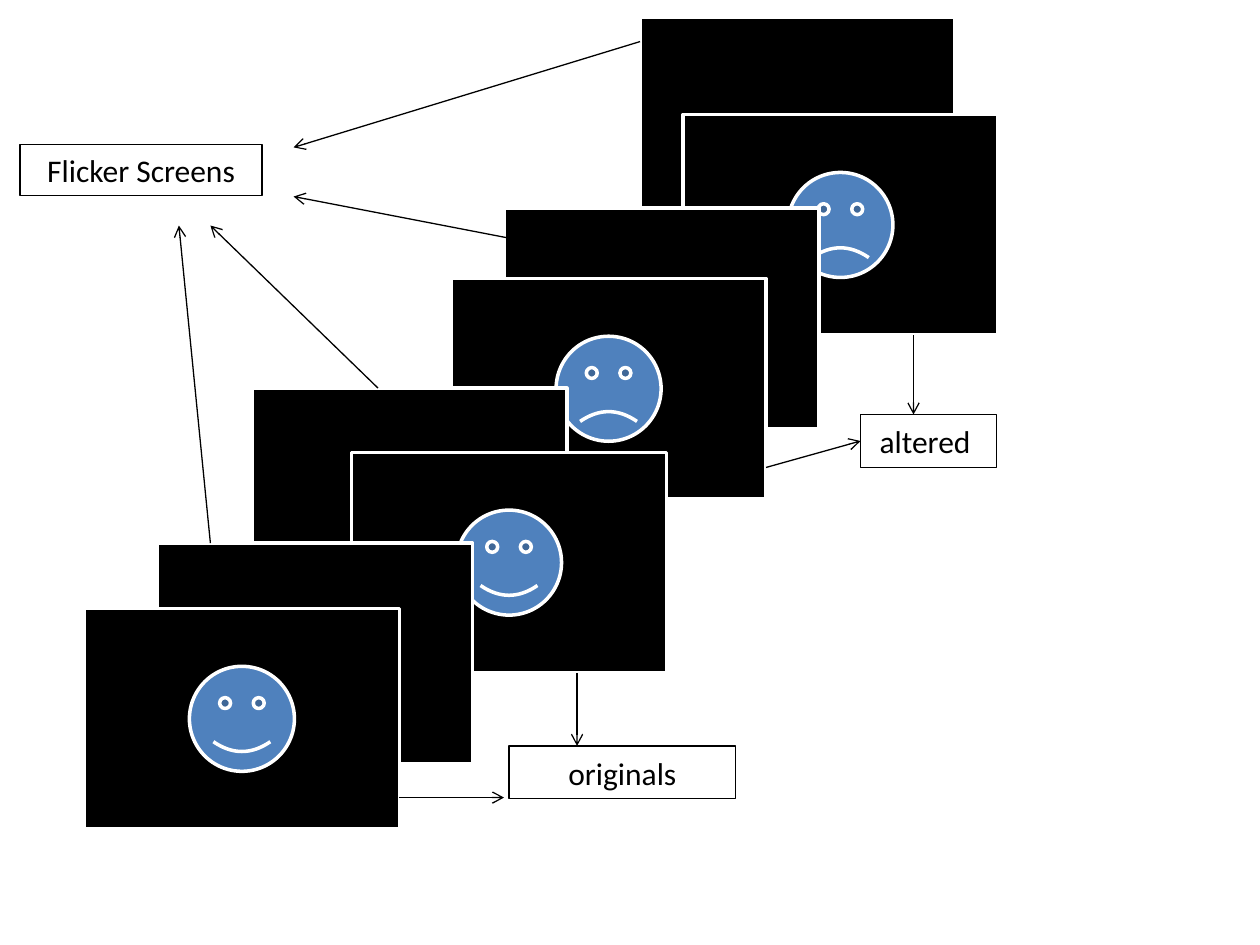
from typing import NamedTuple

from lxml import etree
from pptx import Presentation
from pptx.dml.color import RGBColor
from pptx.enum.shapes import MSO_CONNECTOR, MSO_SHAPE
from pptx.enum.text import MSO_ANCHOR, MSO_AUTO_SIZE, PP_ALIGN
from pptx.oxml.ns import qn
from pptx.util import Inches, Pt

RECTANGLE = MSO_SHAPE.RECTANGLE
SMILEY = MSO_SHAPE.SMILEY_FACE
STRAIGHT = MSO_CONNECTOR.STRAIGHT
CENTER = PP_ALIGN.CENTER
MIDDLE = MSO_ANCHOR.MIDDLE
FIT_SHAPE = MSO_AUTO_SIZE.SHAPE_TO_FIT_TEXT

COLORS = {"screen": "000000", "edge": "FFFFFF", "face": "4F81BD", "ink": "000000"}
FONT = "Calibri"
SCREEN_WIDTH, SCREEN_HEIGHT = 2.5, 1.75
FACE_SIZE = SCREEN_WIDTH / 3
SMILE, FROWN = 0.047, -0.047


class Screen(NamedTuple):
    left: float
    top: float
    mouth: float | None = None


class Label(NamedTuple):
    text: str
    left: float
    top: float
    width: float
    height: float


class Arrow(NamedTuple):
    x1: float
    y1: float
    x2: float
    y2: float


SCREENS = [
    Screen(5.08, 0.14),
    Screen(5.42, 0.91, FROWN),
    Screen(4, 1.65),
    Screen(3.58, 2.21, FROWN),
    Screen(2, 3.08),
    Screen(2.79, 3.59, SMILE),
    Screen(1.25, 4.31),
    Screen(0.67, 4.83, SMILE),
]
LABELS = [
    Label("Flicker Screens", 0.16, 1.15, 1.92, 0.4),
    Label("originals", 4.04, 5.92, 1.8, 0.42),
    Label("altered ", 6.83, 3.29, 1.08, 0.42),
]
ARROWS = [
    Arrow(1.67, 4.31, 1.42, 1.79),
    Arrow(3, 3.08, 1.67, 1.79),
    Arrow(5.08, 0.33, 2.33, 1.17),
    Arrow(4.04, 1.89, 2.33, 1.56),
    Arrow(4.58, 5.34, 4.58, 5.92),
    Arrow(3.17, 6.33, 4, 6.33),
    Arrow(7.25, 2.66, 7.25, 3.29),
    Arrow(6.08, 3.71, 6.83, 3.5),
]


def color(name: str) -> RGBColor:
    return RGBColor.from_string(COLORS[name])


def add_filled(shapes, preset, left: float, top: float, width: float, height: float, fill: str):
    shape = shapes.add_shape(preset, Inches(left), Inches(top), Inches(width), Inches(height))
    shape.shadow.inherit = False
    shape.fill.solid()
    shape.fill.fore_color.rgb = color(fill)
    shape.line.color.rgb = color("edge")
    shape.line.width = Pt(2)
    return shape


def add_screen(slide, screen: Screen) -> None:
    has_face = screen.mouth is not None
    shapes = slide.shapes.add_group_shape().shapes if has_face else slide.shapes
    add_filled(shapes, RECTANGLE, screen.left, screen.top, SCREEN_WIDTH, SCREEN_HEIGHT, "screen")
    if has_face:
        face_left = screen.left + (SCREEN_WIDTH - FACE_SIZE) / 2
        face_top = screen.top + (SCREEN_HEIGHT - FACE_SIZE) / 2
        face = add_filled(shapes, SMILEY, face_left, face_top, FACE_SIZE, FACE_SIZE, "face")
        face.adjustments[0] = screen.mouth


def add_label(slide, label: Label) -> None:
    box = slide.shapes.add_textbox(*(Inches(length) for length in label[1:]))
    box.line.color.rgb = color("ink")
    box.line.width = Pt(0.75)
    frame = box.text_frame
    frame.word_wrap = True
    frame.auto_size = FIT_SHAPE
    frame.vertical_anchor = MIDDLE
    paragraph = frame.paragraphs[0]
    paragraph.alignment = CENTER
    run = paragraph.add_run()
    run.text = label.text
    run.font.name = FONT
    run.font.size = Pt(18)
    run.font.color.rgb = color("ink")


def add_arrow(slide, arrow: Arrow) -> None:
    connector = slide.shapes.add_connector(STRAIGHT, *(Inches(length) for length in arrow))
    connector.line.color.rgb = color("ink")
    connector.line.width = Pt(0.75)
    outline = connector.line._get_or_add_ln()
    etree.SubElement(outline, qn("a:tailEnd"), type="arrow")
    etree.SubElement(outline.getparent(), qn("a:effectLst"))


def main() -> None:
    presentation = Presentation()
    presentation.slide_width = Inches(10)
    presentation.slide_height = Inches(7.5)
    slide = presentation.slides.add_slide(presentation.slide_layouts[6])
    for screen in SCREENS:
        add_screen(slide, screen)
    for arrow in ARROWS:
        add_arrow(slide, arrow)
    for label in LABELS:
        add_label(slide, label)
    presentation.save("out.pptx")


main()
